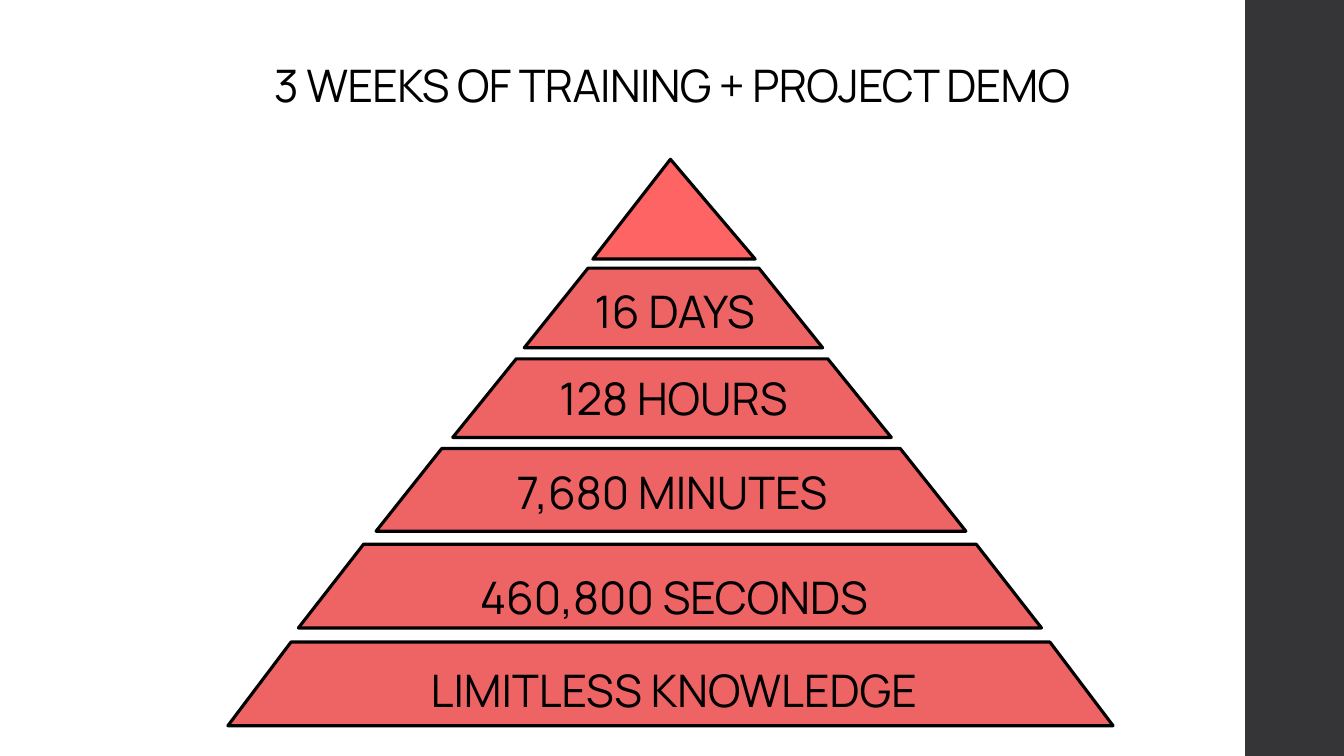
from dataclasses import dataclass

from pptx import Presentation
from pptx.dml.color import RGBColor
from pptx.enum import shapes, text
from pptx.util import Inches, Pt


@dataclass(frozen=True)
class Theme:
    font: str = "Manrope"
    size: int = 32
    ink: str = "000000"
    sidebar: str = "353537"
    tier: str = "EE6464"
    peak: str = "FF6464"
    outline: float = 2.25
    spacing: float = 1.1


THEME = Theme()
MSO = shapes.MSO_SHAPE

# Tiers from top to bottom: offsets from the pyramid box, then slant
TIERS = [
    (2.94, 1.08, 2.96, 0.79, 0.801),
    (2.23, 1.98, 4.35, 0.78, 0.808),
    (1.47, 2.87, 5.85, 0.82, 0.794),
    (0.7, 3.82, 7.37, 0.83, 0.779),
    (0, 4.79, 8.78, 0.83, 0.755),
]

# Labels: offsets from the pyramid box, then whether the box is a loose one
LABELS = [
    ("16 DAYS", 3.22, 1.19, 2.42, 0.64, False),
    ("128 HOURS", 2.94, 2.05, 2.96, 0.64, False),
    ("7,680 MINUTES", 2.23, 2.98, 4.35, 0.64, False),
    ("460,800 SECONDS", -0.47, 3.62, 9.79, 1.38, True),
    ("LIMITLESS KNOWLEDGE", -0.47, 4.54, 9.79, 1.38, True),
]


def inches(*lengths):
    return [Inches(n) for n in lengths]


def write(tf, words, spacing=None):
    tf.word_wrap = True
    tf.text = words
    p = tf.paragraphs[0]
    p.alignment = text.PP_ALIGN.CENTER
    p.line_spacing = spacing
    r = p.runs[0]
    r.font.name = THEME.font
    r.font.size = Pt(THEME.size)
    r.font.bold = False
    r.font.color.rgb = RGBColor.from_string(THEME.ink)
    return r


def center_in_box(tf, bottom=0):
    tf.vertical_anchor = text.MSO_ANCHOR.MIDDLE
    tf.margin_left = tf.margin_right = tf.margin_top = 0
    tf.margin_bottom = Inches(bottom)


def add_block(s, kind, box, fill, slant=None, outlined=True):
    sp = s.shapes.add_shape(kind, *inches(*box))
    sp.shadow.inherit = False
    sp.fill.solid()
    sp.fill.fore_color.rgb = RGBColor.from_string(fill)
    if outlined:
        sp.line.color.rgb = RGBColor.from_string(THEME.ink)
        sp.line.width = Pt(THEME.outline)
    else:
        sp.line.fill.background()
    if slant is not None:
        sp.adjustments[0] = slant


def add_title(s, box, words):
    sp = s.shapes.title
    sp.left, sp.top, sp.width, sp.height = inches(*box)
    tf = sp.text_frame
    tf.auto_size = text.MSO_AUTO_SIZE.NONE
    center_in_box(tf, bottom=0.54)
    r = write(tf, words, THEME.spacing)
    r.font._element.set("spc", "-50")


def add_label(s, box, words, loose):
    tf = s.shapes.add_textbox(*inches(*box)).text_frame
    if loose:
        center_in_box(tf)
    write(tf, words, THEME.spacing if loose else None)


def add_pyramid(s, left, top):
    # Peak and tiers
    add_block(s, MSO.ISOSCELES_TRIANGLE, (left + 3.62, top, 1.61, 0.99),
              THEME.peak, 0.478)
    for x, y, w, h, slant in TIERS:
        add_block(s, MSO.TRAPEZOID, (left + x, top + y, w, h), THEME.tier, slant)
    # Labels
    for words, x, y, w, h, loose in LABELS:
        add_label(s, (left + x, top + y, w, h), words, loose)


def main():
    prs = Presentation()
    prs.slide_width, prs.slide_height = inches(13.33, 7.5)
    s = prs.slides.add_slide(prs.slide_layouts[0])
    subtitle = s.placeholders[1]._element
    subtitle.getparent().remove(subtitle)

    add_block(s, MSO.RECTANGLE, (12.35, 0, 0.98, 7.5), THEME.sidebar, outlined=False)
    add_title(s, (0, 0.24, 13.33, 1.68), "3 WEEKS OF TRAINING + PROJECT DEMO")
    add_pyramid(s, 2.26, 1.58)
    prs.save("out.pptx")


if __name__ == "__main__":
    main()
